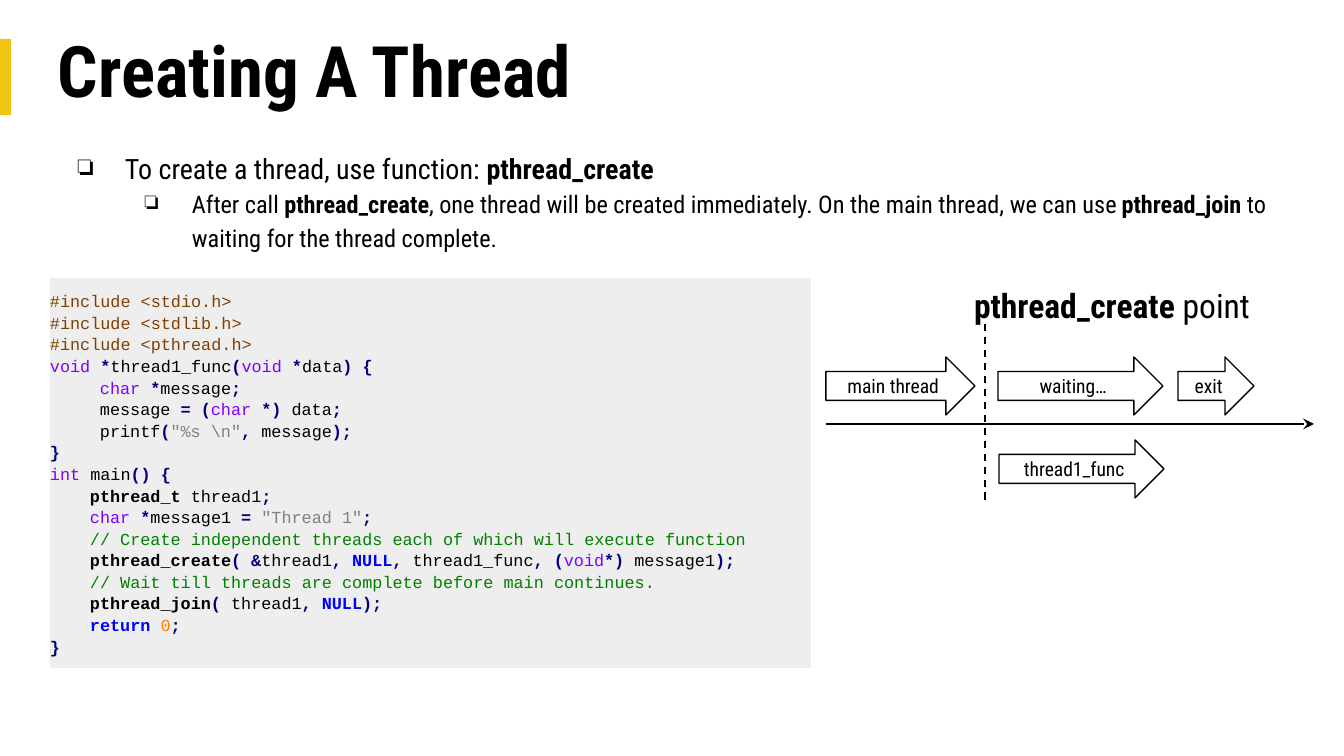
from lxml import etree
from pptx import Presentation
from pptx.dml.color import RGBColor
from pptx.enum.dml import MSO_LINE
from pptx.enum.shapes import MSO_CONNECTOR, MSO_SHAPE
from pptx.enum.text import MSO_ANCHOR, PP_ALIGN
from pptx.oxml.ns import qn
from pptx.util import Pt

RECT, ARROW = MSO_SHAPE.RECTANGLE, MSO_SHAPE.RIGHT_ARROW
STRAIGHT, DASH = MSO_CONNECTOR.STRAIGHT, MSO_LINE.DASH
TOP, MIDDLE = MSO_ANCHOR.TOP, MSO_ANCHOR.MIDDLE
LEFT, CENTER = PP_ALIGN.LEFT, PP_ALIGN.CENTER

BLACK = RGBColor(0x00, 0x00, 0x00)
WHITE = RGBColor(0xFF, 0xFF, 0xFF)
YELLOW = RGBColor(0xEF, 0xC4, 0x15)
GRAY = RGBColor(0xEE, 0xEE, 0xEE)
BROWN = RGBColor(0x80, 0x40, 0x00)
PURPLE = RGBColor(0x80, 0x00, 0xFF)
NAVY = RGBColor(0x00, 0x00, 0x80)
SILVER = RGBColor(0x80, 0x80, 0x80)
GREEN = RGBColor(0x00, 0x80, 0x00)
BLUE = RGBColor(0x00, 0x00, 0xFF)
ORANGE = RGBColor(0xFF, 0x80, 0x00)

SANS, MONO = "Roboto Condensed", "Courier New"
CHAR = 10  # width of one code character

# Run styles: colour, bold
NAME, BOLD = (BLACK, False), (BLACK, True)
INCLUDE, TYPE, OP = (BROWN, False), (PURPLE, False), (NAVY, True)
STRING, COMMENT = (SILVER, False), (GREEN, False)
KEYWORD, NUMBER = (BLUE, True), (ORANGE, False)


def px(n):
    return round(n * 914400 / 134.4)


class Deck:
    def __init__(self, width, height):
        self.prs = Presentation()
        self.prs.slide_width, self.prs.slide_height = px(width), px(height)
        self.slide = self.prs.slides.add_slide(self.prs.slide_layouts[6])

    def paragraph(self, p, runs, size, font=SANS, align=LEFT, spacing=1.0,
                  indent=0, hang=0, bullet=None):
        p.alignment, p.line_spacing = align, spacing
        pPr = p._p.get_or_add_pPr()
        pPr.set("marL", str(px(indent)))
        pPr.set("indent", str(-px(hang)))
        if bullet:
            etree.SubElement(pPr, qn("a:buChar")).set("char", bullet)
        for (color, bold), text in runs:
            r = p.add_run()
            r.text = text
            r.font.name, r.font.size = font, Pt(size)
            r.font.bold, r.font.color.rgb = bold, color

    def frame(self, tf, paragraphs, anchor=TOP, inset=(10, 5), wrap=True):
        tf.word_wrap, tf.vertical_anchor = wrap, anchor
        tf.margin_left = tf.margin_right = px(inset[0])
        tf.margin_top = tf.margin_bottom = px(inset[1])
        for i, style in enumerate(paragraphs):
            p = tf.add_paragraph() if i else tf.paragraphs[0]
            self.paragraph(p, **style)

    def text(self, x, y, w, h, paragraphs, **frame):
        sp = self.slide.shapes.add_textbox(px(x), px(y), px(w), px(h))
        self.frame(sp.text_frame, paragraphs, **frame)

    def shape(self, kind, x, y, w, h, fill, line=None, paragraphs=(), **frame):
        sp = self.slide.shapes.add_shape(kind, px(x), px(y), px(w), px(h))
        sp.shadow.inherit = False
        sp.fill.solid()
        sp.fill.fore_color.rgb = fill
        if line is None:
            sp.line.fill.background()
        else:
            sp.line.color.rgb, sp.line.width = line, Pt(0.75)
        self.frame(sp.text_frame, paragraphs, **frame)

    def line(self, x1, y1, x2, y2, dash=None, tail=None):
        cn = self.slide.shapes.add_connector(STRAIGHT, px(x1), px(y1), px(x2), px(y2))
        cn.line.color.rgb, cn.line.width = BLACK, Pt(1)
        if dash:
            cn.line.dash_style = dash
        if tail:
            etree.SubElement(cn.line._get_or_add_ln(), qn("a:tailEnd")).set("type", tail)
        etree.SubElement(cn._element.spPr, qn("a:effectLst"))

    def save(self):
        self.prs.save("out.pptx")


deck = Deck(1344, 756)

# Title with accent bar
deck.shape(RECT, 0, 39, 11, 76, YELLOW)
deck.text(48, 28, 1247, 93,
          [dict(runs=[(BOLD, "Creating A Thread")], size=38, spacing=0.9)],
          anchor=MIDDLE)

# Bullets
deck.text(48, 142, 1257, 116, [
    dict(runs=[(NAME, "To create a thread, use function: "), (BOLD, "pthread_create")],
         size=15, spacing=1.14, indent=67, hang=47, bullet="❏"),
    dict(runs=[(NAME, "After call "), (BOLD, "pthread_create"),
               (NAME, ", one thread will be created immediately. "
                      "On the main thread, we can use "),
               (BOLD, "pthread_join "),
               (NAME, "to waiting for the thread complete.")],
         size=13, spacing=1.15, indent=134, hang=47, bullet="❏"),
])

# Code listing: indent in characters, then runs
CODE = [
    (0, [(INCLUDE, "#include <stdio.h>")]),
    (0, [(INCLUDE, "#include <stdlib.h>")]),
    (0, [(INCLUDE, "#include <pthread.h>")]),
    (0, [(TYPE, "void "), (OP, "*"), (NAME, "thread1_func"), (OP, "("),
         (TYPE, "void "), (OP, "*"), (NAME, "data"), (OP, ") {")]),
    (5, [(TYPE, "char "), (OP, "*"), (NAME, "message"), (OP, ";")]),
    (5, [(NAME, "message "), (OP, "= ("), (TYPE, "char "), (OP, "*)"),
         (NAME, " data"), (OP, ";")]),
    (5, [(NAME, "printf"), (OP, "("), (STRING, '"%s \\n"'), (OP, ","),
         (NAME, " message"), (OP, ");")]),
    (0, [(OP, "}")]),
    (0, [(TYPE, "int"), (NAME, " main"), (OP, "() {")]),
    (4, [(BOLD, "pthread_t"), (NAME, " thread1"), (OP, ";")]),
    (4, [(TYPE, "char "), (OP, "*"), (NAME, "message1 "), (OP, "= "),
         (STRING, '"Thread 1"'), (OP, ";")]),
    (4, [(COMMENT, "// Create independent threads each of which will execute function")]),
    (4, [(BOLD, "pthread_create"), (OP, "( &"), (NAME, "thread1"), (OP, ", "),
         (KEYWORD, "NULL"), (OP, ","), (NAME, " thread1_func"), (OP, ", ("),
         (TYPE, "void"), (OP, "*)"), (NAME, " message1"), (OP, ");")]),
    (4, [(COMMENT, "// Wait till threads are complete before main continues.")]),
    (4, [(BOLD, "pthread_join"), (OP, "("), (NAME, " thread1"), (OP, ", "),
         (KEYWORD, "NULL"), (OP, ");")]),
    (4, [(KEYWORD, "return "), (NUMBER, "0"), (OP, ";")]),
    (0, [(OP, "}")]),
]
deck.shape(RECT, 50, 278, 761, 390, GRAY, anchor=MIDDLE, inset=(0, 9), paragraphs=[
    dict(runs=runs, size=9, font=MONO, spacing=1.07, indent=chars * CHAR)
    for chars, runs in CODE])

# Timeline of both threads
for label, x, y, w in [("main thread", 826, 357, 149), ("waiting…", 998, 357, 165),
                       ("exit", 1178, 357, 76), ("thread1_func", 999, 440, 165)]:
    deck.shape(ARROW, x, y, w, 58, WHITE, BLACK, anchor=MIDDLE, inset=(0, 5),
               paragraphs=[dict(runs=[(NAME, label)], size=10.5, align=CENTER)])
deck.line(826, 424, 1314, 424, tail="stealth")
deck.line(985, 324, 985, 505, dash=DASH)
deck.text(961, 278, 306, 54,
          [dict(runs=[(BOLD, "pthread_create"), (NAME, " point")], size=18)],
          inset=(13, 7), wrap=False)

deck.save()
